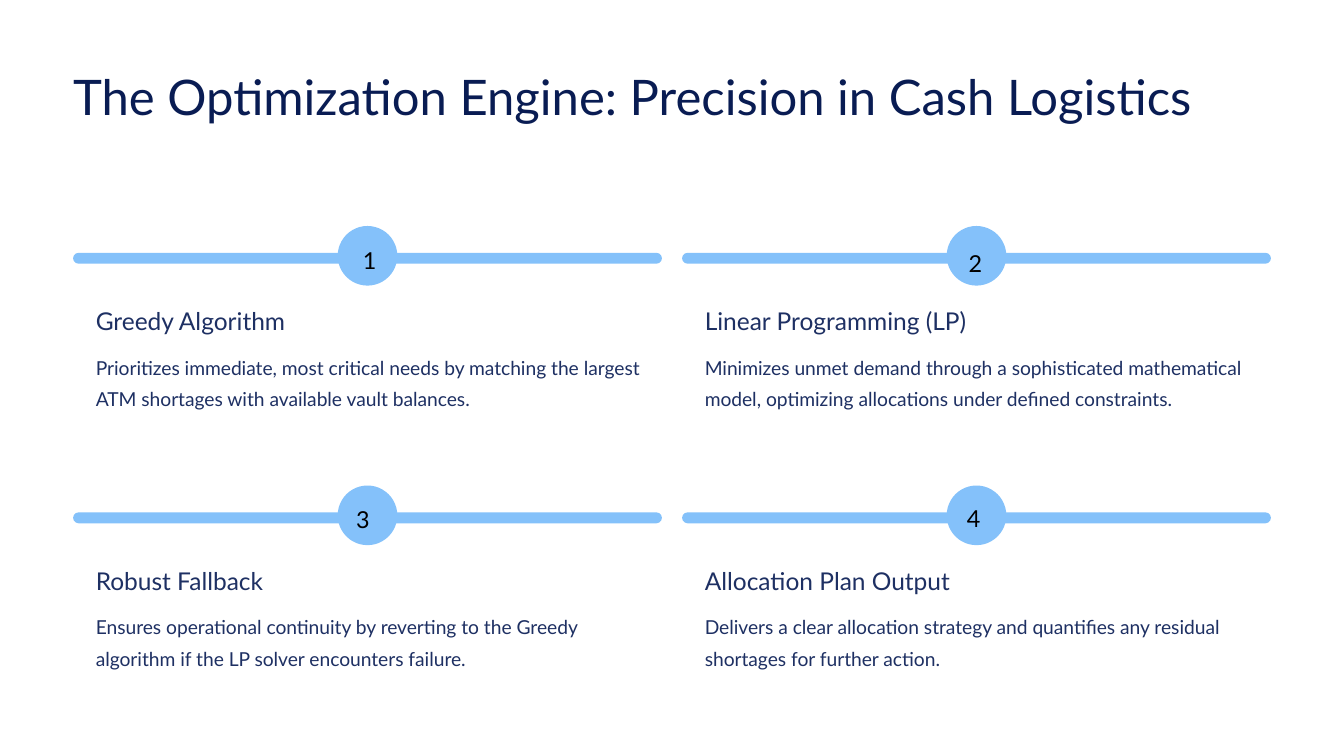
from dataclasses import dataclass

from pptx import Presentation
from pptx.dml.color import RGBColor
from pptx.enum import shapes as kinds, text as modes
from pptx.util import Inches, Pt

FONT = "Lato"
NAVY, INK, BLACK = "091C53", "1E3063", "000000"
BLUE, WHITE = "84C1FA", "FFFFFF"
LEFT, WIDE, GAP = 0.87, 7.01, 0.24
TOPS, TALLS = (3.04, 6.13), (2.5, 2.12)
DOT = 0.71


@dataclass
class Step:
    head: str
    body: str
    num_x: float  # number offset from the card corner
    num_y: float
    head_w: float = 2.95
    body_h: float = 0.75


@dataclass
class Style:
    size: float
    line: float
    color: str
    wrap: bool = True


TITLE = Style(42, 53, NAVY)
NUM = Style(20, 32.5, BLACK, False)
HEAD = Style(21, 26.5, INK, False)
BODY = Style(16.5, 27, INK)

STEPS = [
    Step("Greedy Algorithm",
         "Prioritizes immediate, most critical needs by matching the "
         "largest ATM shortages with available vault balances.",
         3.45, -0.23),
    Step("Linear Programming (LP)",
         "Minimizes unmet demand through a sophisticated mathematical "
         "model, optimizing allocations under defined constraints.",
         3.41, -0.19, 3.52, 1.13),
    Step("Robust Fallback",
         "Ensures operational continuity by reverting to the Greedy "
         "algorithm if the LP solver encounters failure.",
         3.37, -0.23),
    Step("Allocation Plan Output",
         "Delivers a clear allocation strategy and quantifies any residual "
         "shortages for further action.",
         3.39, -0.25, 3.15),
]


def rgb(code: str) -> RGBColor:
    return RGBColor.from_string(code)


def box(x: float, y: float, w: float, h: float) -> list:
    return [Inches(n) for n in (x, y, w, h)]


def write(shape, words: str, style: Style) -> None:
    frame = shape.text_frame
    frame.text = words
    frame.word_wrap = style.wrap
    frame.auto_size = modes.MSO_AUTO_SIZE.NONE
    frame.vertical_anchor = modes.MSO_ANCHOR.TOP
    frame.margin_left = frame.margin_right = 0
    frame.margin_top = frame.margin_bottom = 0
    para = frame.paragraphs[0]
    para.alignment = modes.PP_ALIGN.LEFT
    para.line_spacing = Pt(style.line)
    font = para.runs[0].font
    font.name, font.size = FONT, Pt(style.size)
    font.color.rgb = rgb(style.color)


def label(slide, spot: list, words: str, style: Style) -> None:
    write(slide.shapes.add_textbox(*spot), words, style)


def pill(slide, spot: list, fill: str, curve: float = 0.5) -> None:
    shape = slide.shapes.add_shape(
        kinds.MSO_SHAPE.ROUNDED_RECTANGLE, *spot)
    shape.adjustments[0] = curve
    shape.shadow.inherit = False
    shape.fill.solid()
    shape.fill.fore_color.rgb = rgb(fill)
    shape.line.fill.background()


def card(slide, index: int, step: Step) -> None:
    row, col = divmod(index, 2)
    x, y, tall = LEFT + col * (WIDE + GAP), TOPS[row], TALLS[row]
    # Panel, bar and dot
    pill(slide, box(x, y, WIDE, tall), WHITE, 0.16 / tall)
    pill(slide, box(x, y - 0.03, WIDE, 0.13), BLUE)
    pill(slide, box(x + (WIDE - DOT) / 2, y - 0.35, DOT, DOT), BLUE)
    # Number, heading and description
    label(slide, box(x + step.num_x, y + step.num_y, 0.28, 0.35),
          str(index + 1), NUM)
    label(slide, box(x + 0.27, y + 0.59, step.head_w, 0.37), step.head, HEAD)
    label(slide, box(x + 0.27, y + 1.1, 6.48, step.body_h), step.body, BODY)


def main() -> None:
    deck = Presentation()
    deck.slide_width, deck.slide_height = Inches(16), Inches(9)
    slide = deck.slides.add_slide(deck.slide_layouts[5])

    # Title
    title = slide.shapes.title
    title.left, title.top, title.width, title.height = box(
        LEFT, 0.75, 14.26, 1.47)
    write(title, "The Optimization Engine: Precision in Cash Logistics", TITLE)

    # Four steps in a two by two grid
    for index, step in enumerate(STEPS):
        card(slide, index, step)

    deck.save("out.pptx")


if __name__ == "__main__":
    main()
